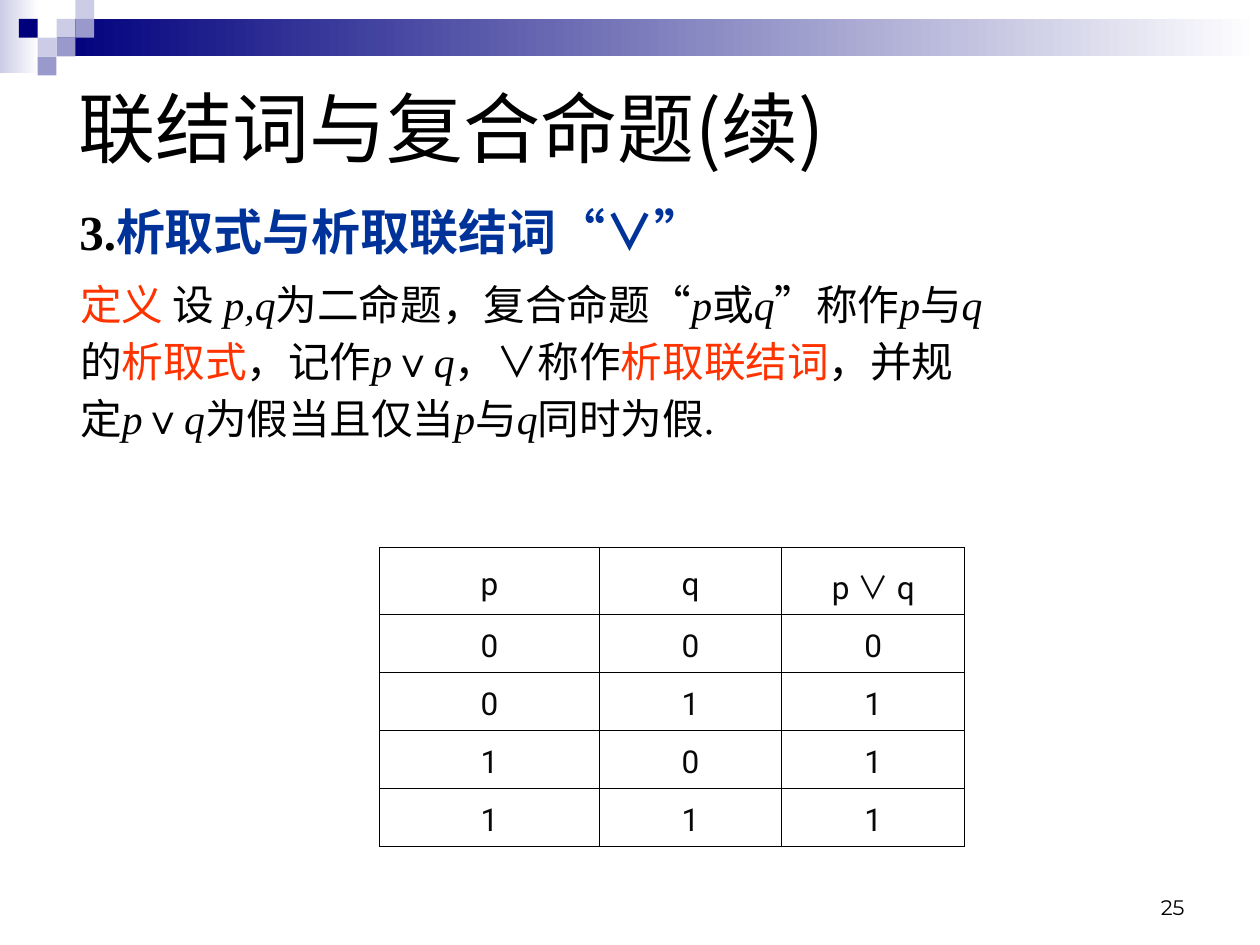
"""Build the slide on disjunction: definition and truth table."""
from lxml.etree import SubElement
from pptx import Presentation
from pptx.dml.color import RGBColor
from pptx.enum.shapes import MSO_SHAPE
from pptx.enum.text import MSO_ANCHOR, PP_ALIGN
from pptx.oxml.ns import qn
from pptx.util import Cm, Pt

BLACK = RGBColor(0x00, 0x00, 0x00)
INK = RGBColor(0x08, 0x08, 0x08)
WHITE = RGBColor(0xFF, 0xFF, 0xFF)
NAVY = RGBColor(0x00, 0x00, 0x7D)
LILAC = RGBColor(0xCC, 0xCC, 0xE6)
VIOLET = RGBColor(0x99, 0x99, 0xCC)
BLUE = RGBColor(0x00, 0x33, 0x99)
RED = RGBColor(0xFF, 0x33, 0x00)
CJK, SERIF, SANS, NUMBER = "Noto Sans CJK SC", "Times New Roman", "Roboto", "Montserrat"

BANDS = [(0, 0, 0.79, 1.47, LILAC), (1.14, 0.38, 24.26, 0.76, NAVY)]
SQUARE = 0.38
SQUARES = [(3, 1, LILAC), (4, 0, LILAC), (4, 1, VIOLET), (2, 2, LILAC),
           (1, 1, NAVY), (3, 2, VIOLET), (2, 3, VIOLET)]

TITLE = "联结词与复合命题(续)"
HEADING = [("3.", BLACK), ("析取式与析取联结词“∨”", BLUE)]
VARIABLES = ("p", "q", "p,q")
TERMS = ("定义", "析取式", "析取联结词")
DEFINITION = [
    ["定义", " 设 ", "p,q", "为二命题，复合命题“", "p", "或", "q", "”称作", "p", "与", "q"],
    ["的", "析取式", "，记作", "p", "∨", "q", "，∨称作", "析取联结词", "，并规"],
    ["定", "p", "∨", "q", "为假当且仅当", "p", "与", "q", "同时为假."],
]
HEADER = [["p"], ["q"], ["p ", "∨", " q"]]
INPUTS = [(0, 0), (0, 1), (1, 0), (1, 1)]
COLUMNS = [4.43, 3.68, 3.69]
HEADER_ROW, ROW = 1.35, 1.17
PAGE = "25"


def add_block(slide, fill, *box):
    sp = slide.shapes.add_shape(MSO_SHAPE.RECTANGLE, *map(Cm, box))
    sp.shadow.inherit = False
    sp.line.fill.background()
    if len(fill) == 2:
        sp.fill.gradient()
        sp.fill.gradient_angle = 0
        for stop, color in zip(sp.fill.gradient_stops, fill):
            stop.color.rgb = color
    else:
        sp.fill.solid()
        sp.fill.fore_color.rgb = fill[0]


def add_text(slide, box, anchor=MSO_ANCHOR.TOP):
    tf = slide.shapes.add_textbox(*map(Cm, box)).text_frame
    tf.word_wrap = True
    tf.vertical_anchor = anchor
    return tf


def style(p, size, font, color, align=PP_ALIGN.LEFT):
    p.alignment = align
    p.font.size, p.font.name, p.font.color.rgb = Pt(size), font, color


def add_run(p, text):
    r = p.add_run()
    r.text = text
    SubElement(r.font._element, qn("a:ea")).set("typeface", CJK)
    return r


def set_borders(cell):
    props = cell._tc.get_or_add_tcPr()
    for i, side in enumerate(("lnL", "lnR", "lnT", "lnB")):
        ln = props.makeelement(qn(f"a:{side}"), {"w": str(Pt(0.45))})
        fill = SubElement(ln, qn("a:solidFill"))
        SubElement(fill, qn("a:srgbClr")).set("val", str(BLACK))
        props.insert(i, ln)


def add_truth_table(slide):
    rows = HEADER, *[[[str(v)] for v in (a, b, a | b)] for a, b in INPUTS]
    heights = [HEADER_ROW] + [ROW] * len(INPUTS)
    table = slide.shapes.add_table(len(rows), len(COLUMNS), Cm(7.65), Cm(11.03),
                                   Cm(sum(COLUMNS)), Cm(sum(heights))).table
    for column, width in zip(table.columns, COLUMNS):
        column.width = Cm(width)
    for i, row in enumerate(rows):
        table.rows[i].height = Cm(heights[i])
        for j, parts in enumerate(row):
            cell = table.cell(i, j)
            cell.fill.solid()
            cell.fill.fore_color.rgb = WHITE
            cell.vertical_anchor = MSO_ANCHOR.MIDDLE
            set_borders(cell)
            p = cell.text_frame.paragraphs[0]
            style(p, 18, SANS, INK, PP_ALIGN.CENTER)
            p.font.bold = False
            p.line_spacing, p.space_before = 1.2, Pt(4.5)
            for part in parts:
                r = add_run(p, part)
                r.font.name = CJK if part == "∨" else SANS


def main():
    prs = Presentation()
    prs.slide_width, prs.slide_height = Cm(25.4), Cm(19.05)
    slide = prs.slides.add_slide(prs.slide_layouts[6])

    for *box, color in BANDS:
        add_block(slide, (color, WHITE), *box)
    for column, row, color in SQUARES:
        add_block(slide, (color,), column * SQUARE, row * SQUARE, SQUARE, SQUARE)

    p = add_text(slide, (1.34, 1.38, 19.89, 2.34), MSO_ANCHOR.MIDDLE).paragraphs[0]
    style(p, 44, CJK, BLACK)
    add_run(p, TITLE)

    tf = add_text(slide, (1.37, 5.61, 22.25, 4.52))
    for i, parts in enumerate(DEFINITION):
        p = tf.add_paragraph() if i else tf.paragraphs[0]
        style(p, 23.8, SERIF, BLACK, PP_ALIGN.JUSTIFY)
        p.line_spacing, p.space_before = Pt(25.6), Pt(7)
        for part in parts:
            r = add_run(p, part)
            r.font.italic = part in VARIABLES
            if part in TERMS:
                r.font.color.rgb = RED

    add_truth_table(slide)

    p = add_text(slide, (18.21, 17.35, 5.92, 1.32), MSO_ANCHOR.BOTTOM).paragraphs[0]
    style(p, 12, NUMBER, BLACK, PP_ALIGN.RIGHT)
    add_run(p, PAGE)

    p = add_text(slide, (1.35, 3.94, 15, 1.45)).paragraphs[0]
    style(p, 28, SERIF, BLACK)
    p.font.bold = True
    p.line_spacing = Pt(33.3)
    for text, color in HEADING:
        add_run(p, text).font.color.rgb = color

    prs.save("out.pptx")


if __name__ == "__main__":
    main()
